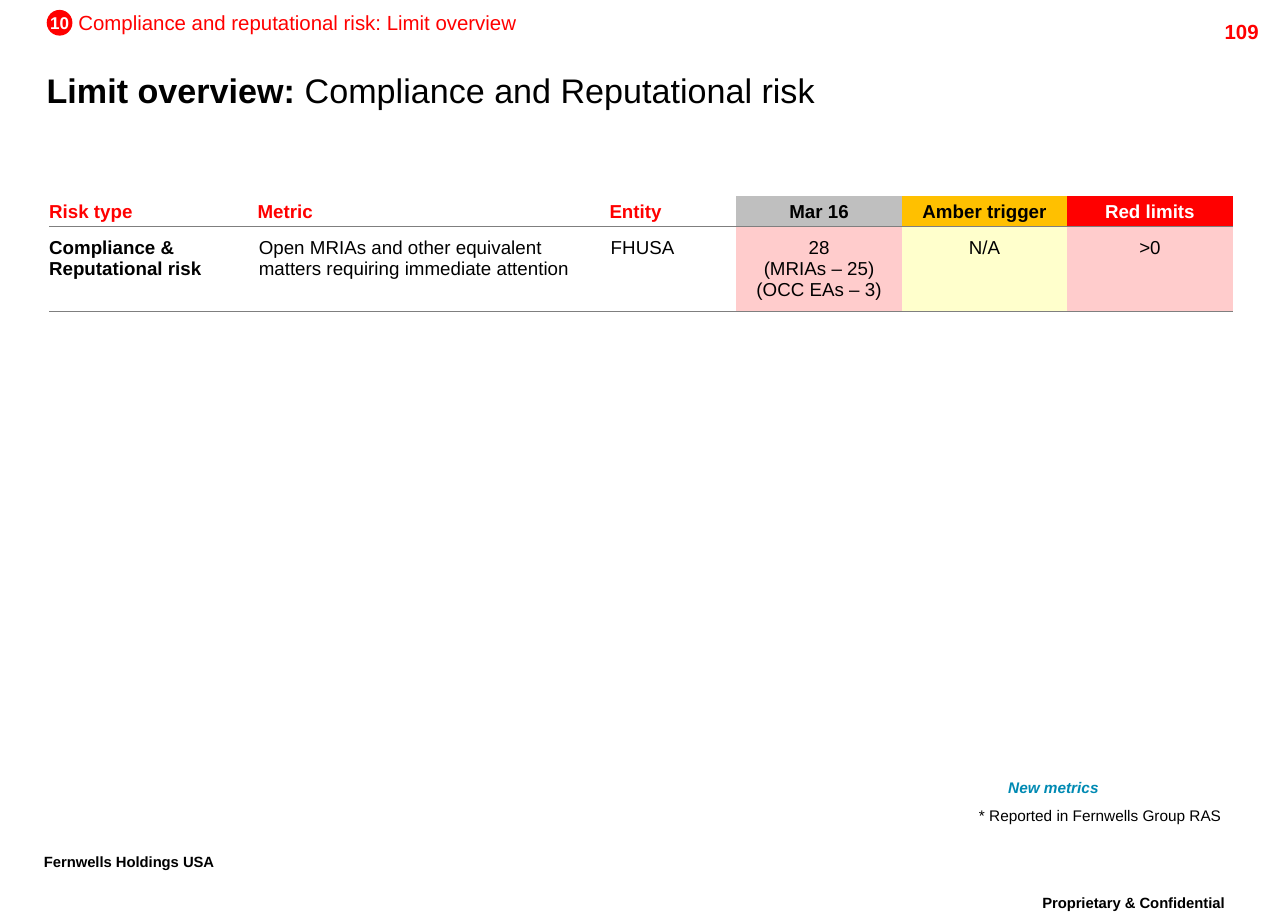
from dataclasses import dataclass

from lxml.etree import SubElement
from pptx import Presentation
from pptx.dml.color import RGBColor
from pptx.enum.shapes import MSO_SHAPE
from pptx.enum.text import MSO_ANCHOR, MSO_AUTO_SIZE, PP_ALIGN
from pptx.oxml.ns import qn
from pptx.slide import Slide
from pptx.table import _Cell
from pptx.text.text import TextFrame, _Run
from pptx.util import Pt

FONT = "Arial"
BLACK, WHITE, RED = "000000", "FFFFFF", "FF0000"
RULE, PINK = "7F7F7F", "FFCCCC"
LEFT, CENTER, RIGHT = PP_ALIGN.LEFT, PP_ALIGN.CENTER, PP_ALIGN.RIGHT


@dataclass
class Label:
    text: str
    left: float
    top: float
    width: float
    height: float
    size: float
    color: str = BLACK
    bold: bool = False
    italic: bool = False
    align: PP_ALIGN = LEFT
    anchor: MSO_ANCHOR = MSO_ANCHOR.TOP
    inset: tuple[float, float, float, float] = (0, 0, 0, 0)
    wrap: bool = False
    spacing: float = 1
    raised: bool = False


@dataclass
class Column:
    header: str
    entry: str
    width: float
    header_color: str = RED
    header_fill: str = WHITE
    entry_fill: str = WHITE
    align: PP_ALIGN = LEFT
    header_inset: float = 2.9
    entry_inset: float = 3.6
    entry_bold: bool = False


FOOTER_INSET = (7.2, 3.6, 7.2, 3.6)
LABELS = [
    Label("Proprietary & Confidential", 586.8, 522, 157, 25.2, 15, bold=True, align=CENTER,
          inset=FOOTER_INSET, wrap=True, spacing=0.86, raised=True),
    Label("Fernwells Holdings USA", 18.7, 497.5, 137.5, 25.2, 15, bold=True,
          inset=FOOTER_INSET, spacing=0.86, raised=True),
    Label("109", 673.9, 7.9, 72, 17.3, 12, RED, True, align=RIGHT,
          inset=FOOTER_INSET, wrap=True),
    Label("Compliance and reputational risk: Limit overview", 46, 5.8, 259, 14.4, 12, RED),
    Label("* Reported in Fernwells Group RAS", 574.6, 474.5, 146, 9.4, 9,
          anchor=MSO_ANCHOR.BOTTOM, spacing=0.86),
    Label("New metrics", 591.8, 458.6, 53.3, 9.4, 9, "008AB3", True, True, spacing=0.86),
]
SECTION_BADGE = Label("10", 27.4, 5.8, 15.1, 15.1, 10, WHITE, True,
                      align=CENTER, anchor=MSO_ANCHOR.MIDDLE)
COLUMNS = [
    Column("Risk type", "Compliance & Reputational risk", 119.5,
           header_inset=0, entry_inset=0, entry_bold=True),
    Column("Metric", "Open MRIAs and other equivalent matters requiring immediate attention", 206.6),
    Column("Entity", "FHUSA", 77.4),
    Column("Mar 16", "28\n(MRIAs – 25)\n(OCC EAs – 3)", 97.1, BLACK, "BFBFBF", PINK, CENTER),
    Column("Amber trigger", "N/A", 97.1, BLACK, "FFC000", "FFFFCC", CENTER),
    Column("Red limits", ">0", 97.1, WHITE, RED, PINK, CENTER),
]


def rgb(color: str) -> RGBColor:
    """Turn a hex string into a colour."""
    return RGBColor.from_string(color)


def style_run(run: _Run, size: float, color: str, bold: bool, italic: bool = False) -> None:
    """Set the font of one run."""
    run.font.name, run.font.size = FONT, Pt(size)
    run.font.bold, run.font.italic = bold, italic
    run.font.color.rgb = rgb(color)


def write_label(frame: TextFrame, label: Label) -> None:
    """Put a label's text and formatting into a text frame."""
    frame.text = label.text
    frame.word_wrap = label.wrap
    frame.vertical_anchor = label.anchor
    frame.margin_left, frame.margin_top, frame.margin_right, frame.margin_bottom = map(Pt, label.inset)
    for paragraph in frame.paragraphs:
        paragraph.alignment = label.align
        paragraph.line_spacing = label.spacing
        for run in paragraph.runs:
            style_run(run, label.size, label.color, label.bold, label.italic)
            if label.raised:
                run._r.get_or_add_rPr().set("baseline", "30000")


def add_label(slide: Slide, label: Label) -> None:
    """Draw a label as a text box."""
    box = slide.shapes.add_textbox(*map(Pt, (label.left, label.top, label.width, label.height)))
    write_label(box.text_frame, label)


def add_badge(slide: Slide, label: Label) -> None:
    """Draw a label inside a red circle."""
    circle = slide.shapes.add_shape(
        MSO_SHAPE.OVAL, *map(Pt, (label.left, label.top, label.width, label.height)))
    circle.shadow.inherit = False
    circle.fill.solid()
    circle.fill.fore_color.rgb = rgb(RED)
    circle.line.fill.background()
    write_label(circle.text_frame, label)


def set_borders(cell: _Cell, ruled: set[str]) -> None:
    """Rule the named sides of a cell and clear the others."""
    properties = cell._tc.get_or_add_tcPr()
    for side in "LRTB":
        border = SubElement(properties, qn(f"a:ln{side}"), w=str(Pt(0.75)))
        if side in ruled:
            fill = SubElement(border, qn("a:solidFill"))
            SubElement(fill, qn("a:srgbClr"), val=RULE)
        else:
            SubElement(border, qn("a:noFill"))


def write_cell(cell: _Cell, text: str, color: str, bold: bool, fill: str, align: PP_ALIGN,
               anchor: MSO_ANCHOR, left: float, right: float, vertical: float, ruled: set[str]) -> None:
    """Fill and format one table cell."""
    set_borders(cell, ruled)
    cell.fill.solid()
    cell.fill.fore_color.rgb = rgb(fill)
    cell.vertical_anchor = anchor
    cell.margin_left, cell.margin_right = Pt(left), Pt(right)
    cell.margin_top = cell.margin_bottom = Pt(vertical)
    cell.text_frame.text = text
    for paragraph in cell.text_frame.paragraphs:
        paragraph.alignment = align
        for run in paragraph.runs:
            style_run(run, 11, color, bold)


def add_limits(slide: Slide) -> None:
    """Draw the table of limits."""
    width = sum(column.width for column in COLUMNS)
    table = slide.shapes.add_table(2, len(COLUMNS), Pt(28.8), Pt(115.2), Pt(width), Pt(67.7)).table
    table.first_row = table.horz_banding = False
    table.rows[0].height, table.rows[1].height = Pt(18), Pt(49.7)
    for index, column in enumerate(COLUMNS):
        table.columns[index].width = Pt(column.width)
        write_cell(table.cell(0, index), column.header, column.header_color, True,
                   column.header_fill, column.align, MSO_ANCHOR.MIDDLE,
                   column.header_inset, 2.9, 2.6, {"B"})
        write_cell(table.cell(1, index), column.entry, BLACK, column.entry_bold,
                   column.entry_fill, column.align, MSO_ANCHOR.TOP,
                   column.entry_inset, 3.6, 6.2, {"T", "B"})


def write_title(slide: Slide) -> None:
    """Place the title and write its bold and plain parts."""
    title = slide.shapes.title
    title.left, title.top, title.width, title.height = map(Pt, (27.4, 35.3, 682.6, 34.6))
    frame = title.text_frame
    write_label(frame, Label("Limit overview: ", 0, 0, 0, 0, 20, bold=True,
                             anchor=MSO_ANCHOR.MIDDLE, wrap=True))
    frame.auto_size = MSO_AUTO_SIZE.NONE
    subject = frame.paragraphs[0].add_run()
    subject.text = "Compliance and Reputational risk"
    style_run(subject, 20, BLACK, False)


def main() -> None:
    """Build and save the slide."""
    deck = Presentation()
    deck.slide_width, deck.slide_height = Pt(756), Pt(540)
    slide = deck.slides.add_slide(deck.slide_layouts[5])
    write_title(slide)
    add_limits(slide)
    for label in LABELS:
        add_label(slide, label)
    add_badge(slide, SECTION_BADGE)
    deck.save("out.pptx")


if __name__ == "__main__":
    main()
